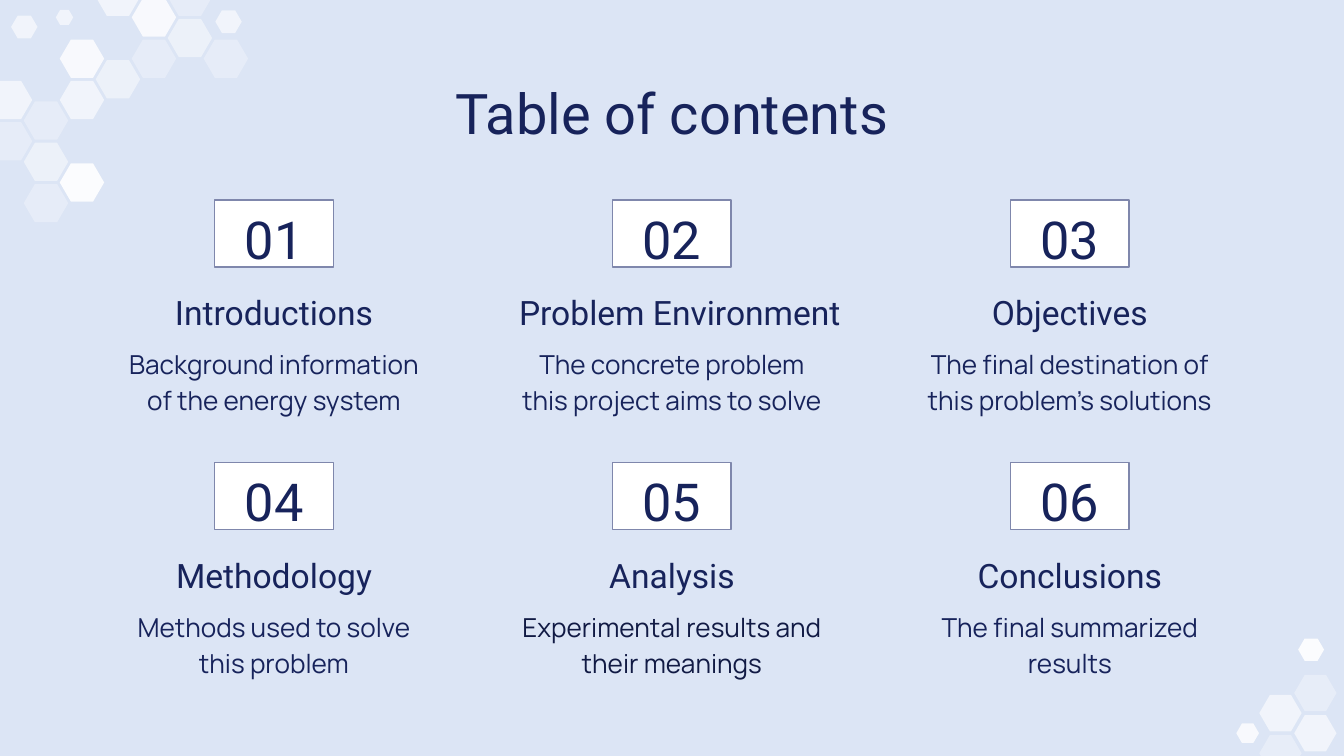
"""Build a table of contents slide with six numbered sections and hexagon corners."""
from lxml.etree import SubElement
from pptx import Presentation
from pptx.dml.color import RGBColor
from pptx.enum.shapes import MSO_SHAPE
from pptx.enum.text import MSO_ANCHOR, PP_ALIGN
from pptx.oxml.ns import qn
from pptx.util import Cm, Pt

NAVY, DEEP_NAVY, WHITE = "17235B", "111A44", "FFFFFF"
BACKGROUND, BORDER = "DCE5F5", "7F87AC"
HEADING_FONT, BODY_FONT = "Roboto", "Manrope"

TITLE = "Table of contents"
TEXT_WIDTH, WIDE_TEXT = 6.4, 6.7
SECTIONS = [
    ("Introductions", TEXT_WIDTH, "Background information of the energy system", NAVY),
    ("Problem Environment", WIDE_TEXT, "The concrete problem this project aims to solve", NAVY),
    ("Objectives", TEXT_WIDTH, "The final destination of this problem’s solutions", NAVY),
    ("Methodology", TEXT_WIDTH, "Methods used to solve this problem", NAVY),
    ("Analysis", TEXT_WIDTH, "Experimental results and their meanings", DEEP_NAVY),
    ("Conclusions", TEXT_WIDTH, "The final summarized results", NAVY),
]
COLUMNS = 3
FIRST_CENTER, COLUMN_STEP, ROW_STEP = 5.18, 7.52, 4.96
NUMBER_TOP, HEADING_TOP, SUMMARY_TOP = 3.78, 5.47, 6.25
NUMBER_WIDTH, NUMBER_HEIGHT = 2.24, 1.27

HONEYCOMBS = [
    {
        "origin": (0.19, -0.06), "step": (0.68, 0.39), "width": 0.84,
        "cells": [
            (2, 5, 60), (0, 5, 60), (3, 0, 60), (1, 8, 48), (3, 4, 48), (5, 2, 48),
            (2, 3, 80), (4, 1, 80), (1, 10, 30), (2, 9, 90), (1, 6, 30), (0, 7, 30),
            (6, 3, 30), (4, 3, 30), (5, 0, 30),
        ],
    },
    {
        "origin": (24.2, 13.1), "step": (0.66, 0.38), "width": 0.8,
        "cells": [(0, 3, 33), (1, 2, 60), (0, 1, 60), (1, 0, 33)],
    },
]
LOOSE_HEXAGONS = [
    (1.22, 0.33, 0.33, 60), (0.46, 0.51, 0.5, 60), (4.32, 0.41, 0.5, 60),
    (24.78, 12.28, 0.49, 90), (23.58, 13.86, 0.43, 80),
]
HEXAGON_RATIO = 0.86


def color(value):
    return RGBColor.from_string(value)


def paint(shape, fill):
    shape.shadow.inherit = False
    shape.fill.solid()
    shape.fill.fore_color.rgb = color(fill)


def add_hexagon(slide, x, y, width, opacity):
    half, quarter, rise = width / 2, width / 4, width * HEXAGON_RATIO / 2
    corners = [
        (x - quarter, y - rise), (x - half, y), (x - quarter, y + rise),
        (x + quarter, y + rise), (x + half, y), (x + quarter, y - rise),
    ]
    outline = [(Cm(across), Cm(down)) for across, down in corners]
    builder = slide.shapes.build_freeform(*outline[0])
    builder.add_line_segments(outline[1:], close=True)
    hexagon = builder.convert_to_shape()
    paint(hexagon, WHITE)
    hexagon.line.fill.background()
    tint = hexagon.fill._xPr.find(qn("a:solidFill"))[0]
    SubElement(tint, qn("a:alpha"), val=str(opacity * 1000))


def write(shape, text, size, font, ink=NAVY, anchor=MSO_ANCHOR.TOP, spacing=1.15):
    frame = shape.text_frame
    frame.word_wrap = True
    frame.vertical_anchor = anchor
    frame.margin_left = frame.margin_right = Cm(0.25)
    frame.margin_top = frame.margin_bottom = Cm(0.25)
    paragraph = frame.paragraphs[0]
    paragraph.text = text
    paragraph.alignment = PP_ALIGN.CENTER
    paragraph.line_spacing = spacing
    paragraph.font.size = Pt(size)
    paragraph.font.name = font
    paragraph.font.color.rgb = color(ink)


def add_text(slide, left, top, width, height, *content, **style):
    box = slide.shapes.add_textbox(Cm(left), Cm(top), Cm(width), Cm(height))
    write(box, *content, **style)


def add_section(slide, index, heading, heading_width, summary, ink):
    row, column = divmod(index, COLUMNS)
    center = FIRST_CENTER + column * COLUMN_STEP
    left, drop = center - TEXT_WIDTH / 2, row * ROW_STEP
    number = slide.shapes.add_shape(
        MSO_SHAPE.RECTANGLE, Cm(center - NUMBER_WIDTH / 2), Cm(NUMBER_TOP + drop),
        Cm(NUMBER_WIDTH), Cm(NUMBER_HEIGHT))
    paint(number, WHITE)
    number.line.color.rgb = color(BORDER)
    number.line.width = Pt(0.75)
    write(number, f"{index + 1:02}", 28, HEADING_FONT, anchor=MSO_ANCHOR.MIDDLE)
    add_text(slide, left, HEADING_TOP + drop, heading_width, 1.07,
             heading, 18, HEADING_FONT, anchor=MSO_ANCHOR.BOTTOM)
    add_text(slide, left, SUMMARY_TOP + drop, TEXT_WIDTH, 1.6,
             summary, 14, BODY_FONT, ink)


def main():
    deck = Presentation()
    deck.slide_width, deck.slide_height = Cm(25.4), Cm(14.29)
    slide = deck.slides.add_slide(deck.slide_layouts[6])
    slide.background.fill.solid()
    slide.background.fill.fore_color.rgb = color(BACKGROUND)

    for comb in HONEYCOMBS:
        (x, y), (across, down) = comb["origin"], comb["step"]
        for column, row, opacity in comb["cells"]:
            add_hexagon(slide, x + column * across, y + row * down, comb["width"], opacity)
    for hexagon in LOOSE_HEXAGONS:
        add_hexagon(slide, *hexagon)

    add_text(slide, 2, 1.24, 21.4, 1.6, TITLE, 30, HEADING_FONT, spacing=1.0)
    for index, section in enumerate(SECTIONS):
        add_section(slide, index, *section)
    deck.save("out.pptx")


if __name__ == "__main__":
    main()
